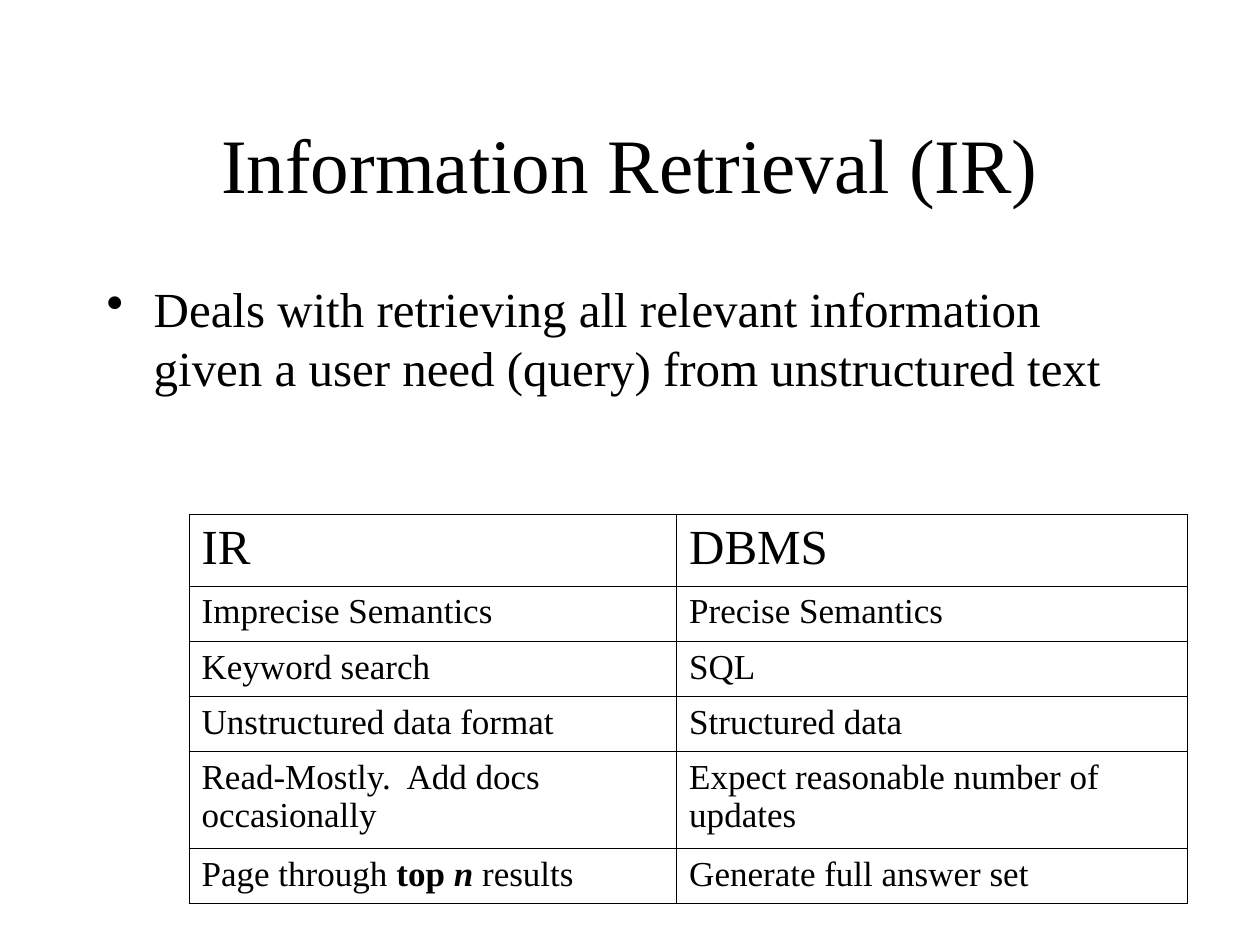
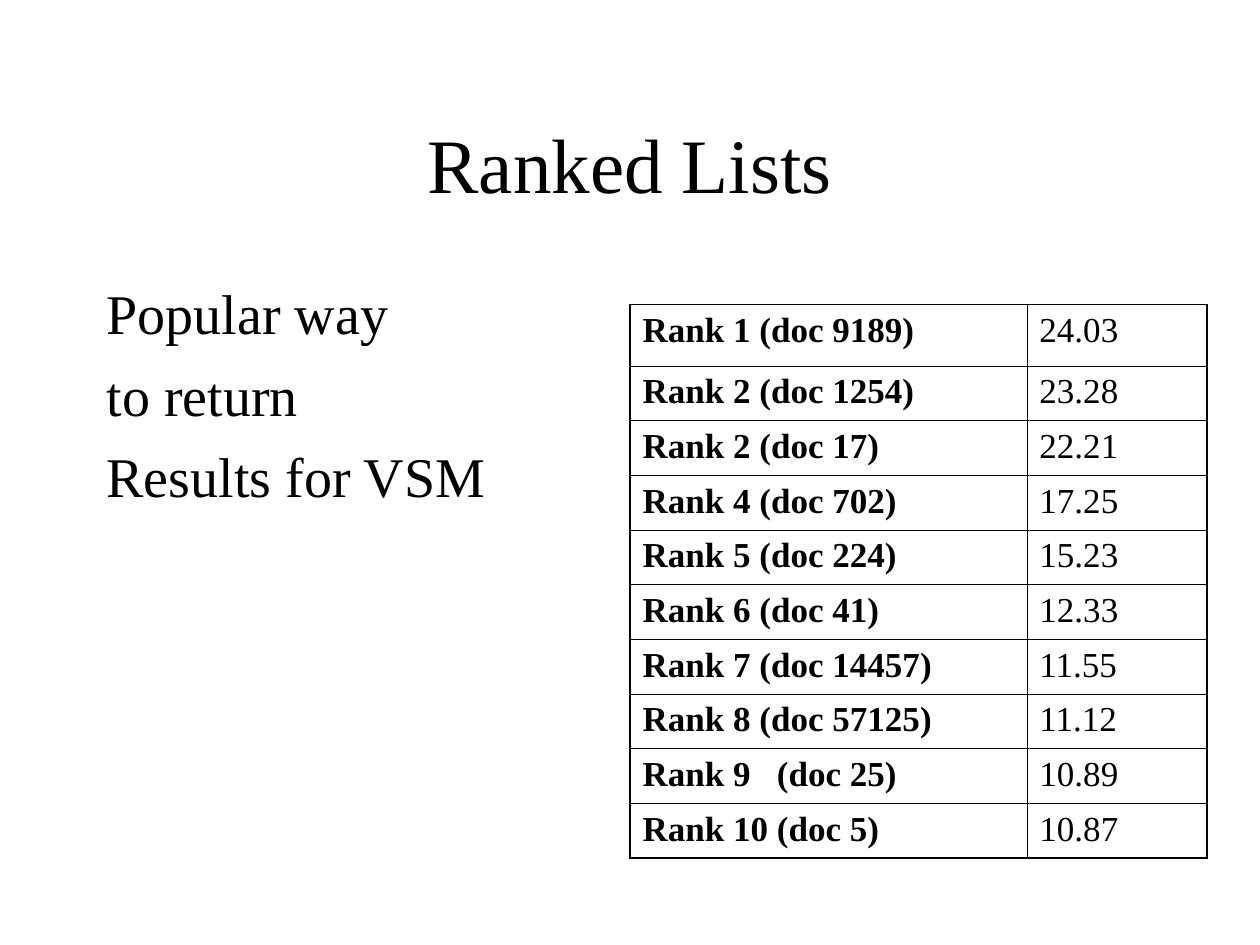
import dataclasses

import lxml.etree
import pptx
import pptx.dml.color
import pptx.enum.text
import pptx.oxml.ns
import pptx.util
from pptx.util import Cm, Pt


@dataclasses.dataclass(frozen=True)
class Theme:
    font: str = "Times New Roman"
    ink: str = "000000"
    paper: str = "FFFFFF"
    title_size: int = 44
    list_size: int = 32
    body_size: int = 28
    cell_size: int = 20
    thin: float = 0.45
    thick: float = 1.08


@dataclasses.dataclass(frozen=True)
class Box:
    left: float
    top: float
    width: float
    height: float

    def lengths(self):
        return Cm(self.left), Cm(self.top), Cm(self.width), Cm(self.height)


THEME = Theme()
TITLE_BOX = Box(1.9, 1.69, 21.6, 3.18)
BODY_BOX = Box(1.9, 5.5, 21.6, 11.43)
HANGING = 0.95

COMPARISON = [
    ("IR", "DBMS"),
    ("Imprecise Semantics", "Precise Semantics"),
    ("Keyword search", "SQL"),
    ("Unstructured data format", "Structured data"),
    ("Read-Mostly.  Add docs occasionally", "Expect reasonable number of updates"),
    ([("Page through ", ""), ("top ", "b"), ("n", "bi"), (" results", "")],
     "Generate full answer set"),
]
RANKING = [
    ("Rank 1 (doc 9189)", "24.03"),
    ("Rank 2 (doc 1254)", "23.28"),
    ("Rank 2 (doc 17)", "22.21"),
    ("Rank 4 (doc 702)", "17.25"),
    ("Rank 5 (doc 224)", "15.23"),
    ("Rank 6 (doc 41)", "12.33"),
    ("Rank 7 (doc 14457)", "11.55"),
    ("Rank 8 (doc 57125)", "11.12"),
    ("Rank 9   (doc 25)", "10.89"),
    ("Rank 10 (doc 5)", "10.87"),
]


def write_paragraph(para, content, size, space_before):
    """Write a string, or a list of (text, style) spans, into a paragraph."""
    para.space_before = Pt(space_before)
    spans = [(content, "")] if isinstance(content, str) else content
    for text, style in spans:
        span = para.add_run()
        span.text = text
        span.font.name = THEME.font
        span.font.size = Pt(size)
        span.font.color.rgb = pptx.dml.color.RGBColor.from_string(THEME.ink)
        span.font.bold = "b" in style
        span.font.italic = "i" in style


def hang(para, bullet=None):
    """Give a paragraph a hanging indent and, if asked, a bullet."""
    properties = para._p.get_or_add_pPr()
    properties.set("marL", str(Cm(HANGING)))
    properties.set("indent", str(-Cm(HANGING)))
    if bullet:
        mark = lxml.etree.SubElement(properties, pptx.oxml.ns.qn("a:buChar"))
        mark.set("char", bullet)


def add_text_frame(page, box):
    frame = page.shapes.add_textbox(*box.lengths()).text_frame
    frame.word_wrap = True
    return frame


def add_title(page, box, text):
    frame = add_text_frame(page, box)
    frame.vertical_anchor = pptx.enum.text.MSO_ANCHOR.MIDDLE
    para = frame.paragraphs[0]
    para.alignment = pptx.enum.text.PP_ALIGN.CENTER
    write_paragraph(para, text, THEME.title_size, 0)


def add_body(page, box, lines, size, space_before, bullet=None):
    frame = add_text_frame(page, box)
    for index, line in enumerate(lines):
        para = frame.add_paragraph() if index else frame.paragraphs[0]
        write_paragraph(para, line, size, space_before)
        hang(para, bullet)


def set_borders(cell, widths):
    """Draw the cell's left, right, top and bottom borders, in that order."""
    properties = cell._tc.get_or_add_tcPr()
    for position, (side, width) in enumerate(zip("LRTB", widths)):
        line = lxml.etree.Element(pptx.oxml.ns.qn(f"a:ln{side}"), w=str(Pt(width)))
        fill = lxml.etree.SubElement(line, pptx.oxml.ns.qn("a:solidFill"))
        lxml.etree.SubElement(fill, pptx.oxml.ns.qn("a:srgbClr"), val=THEME.ink)
        properties.insert(position, line)


def add_grid(page, box, rows, column_widths, row_heights, outline, header_size=THEME.cell_size,
             bold_first_column=False):
    table = page.shapes.add_table(len(rows), len(column_widths), *box.lengths()).table
    table.first_row = table.horz_banding = False
    for column, width in zip(table.columns, column_widths):
        column.width = Cm(width)
    last_row, last_column = len(rows) - 1, len(column_widths) - 1
    for r, row in enumerate(rows):
        table.rows[r].height = Cm(row_heights[r])
        size = THEME.cell_size if r else header_size
        for c, content in enumerate(row):
            cell = table.cell(r, c)
            cell.fill.background()
            if bold_first_column and c == 0:
                content = [(content, "b")]
            write_paragraph(cell.text_frame.paragraphs[0], content, size, size / 4)
            on_edge = (c == 0, c == last_column, r == 0, r == last_row)
            set_borders(cell, [outline if edge else THEME.thin for edge in on_edge])


def add_page(deck, title):
    page = deck.slides.add_slide(deck.slide_layouts[6])
    page.background.fill.solid()
    page.background.fill.fore_color.rgb = pptx.dml.color.RGBColor.from_string(THEME.paper)
    add_title(page, TITLE_BOX, title)
    return page


def build_retrieval_page(deck):
    page = add_page(deck, "Information Retrieval (IR)")
    add_body(page, BODY_BOX,
             ["Deals with retrieving all relevant information given a user need (query) "
              "from unstructured text"],
             THEME.body_size, 7, bullet="•")
    # Comparison of retrieval and databases
    add_grid(page, Box(3.81, 10.37, 20.12, 7.85), COMPARISON, [9.83, 10.29],
             [1.45, 1.11, 1.11, 1.11, 1.96, 1.11], THEME.thin, header_size=THEME.body_size)


def build_ranking_page(deck):
    page = add_page(deck, "Ranked Lists")
    add_body(page, BODY_BOX, ["Popular way", "to return", "Results for VSM"],
             THEME.list_size, 8)
    # Documents with their scores
    add_grid(page, Box(12.7, 6.14, 11.63, 11.18), RANKING, [8, 3.63],
             [1.24] + [1.1] * 9, THEME.thick, bold_first_column=True)


def main():
    deck = pptx.Presentation()
    deck.slide_width, deck.slide_height = Cm(25.4), Cm(19.05)
    build_retrieval_page(deck)
    build_ranking_page(deck)
    deck.save("out.pptx")


if __name__ == "__main__":
    main()
